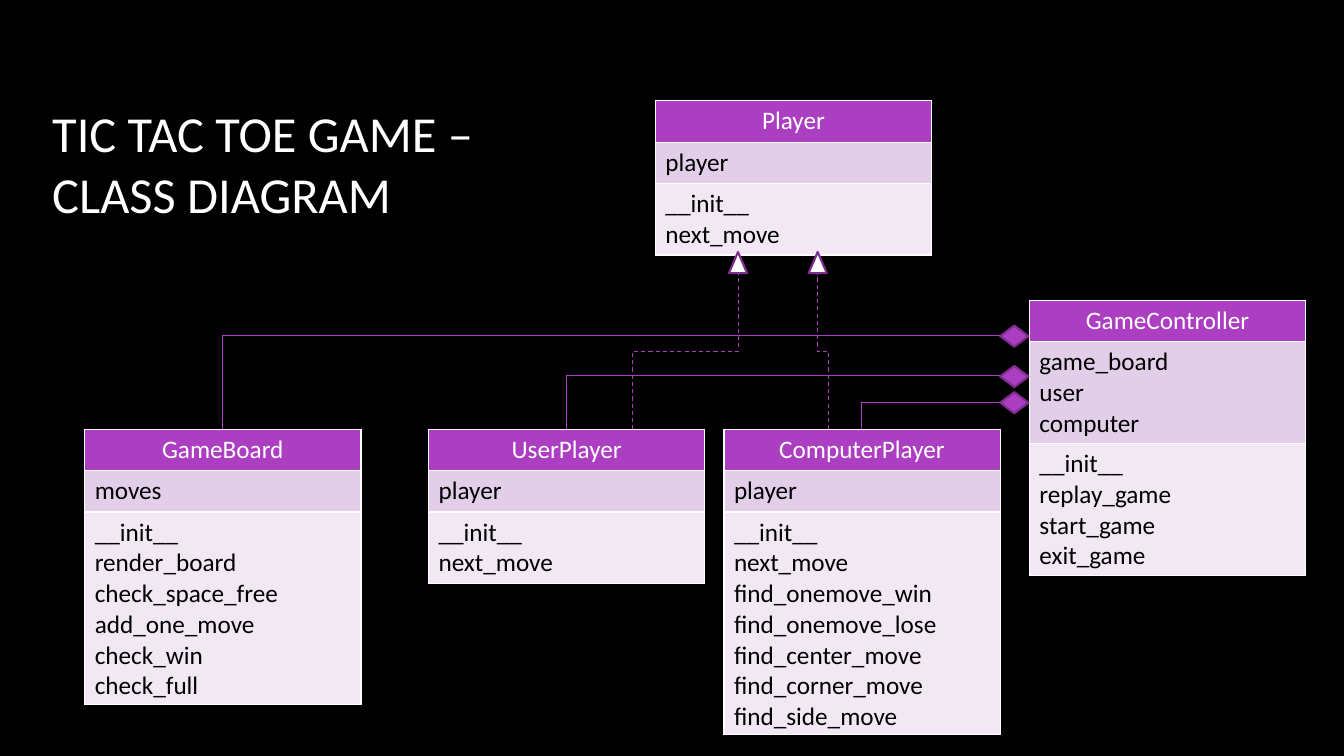
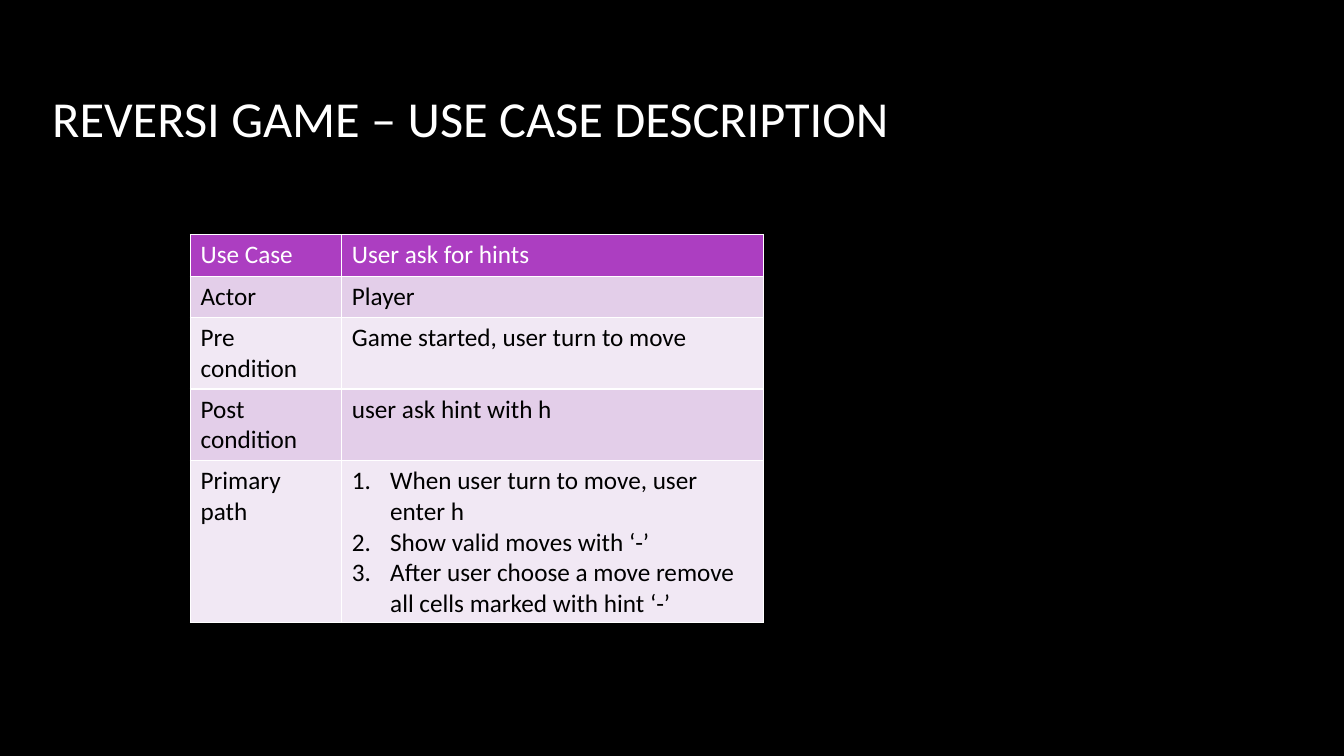
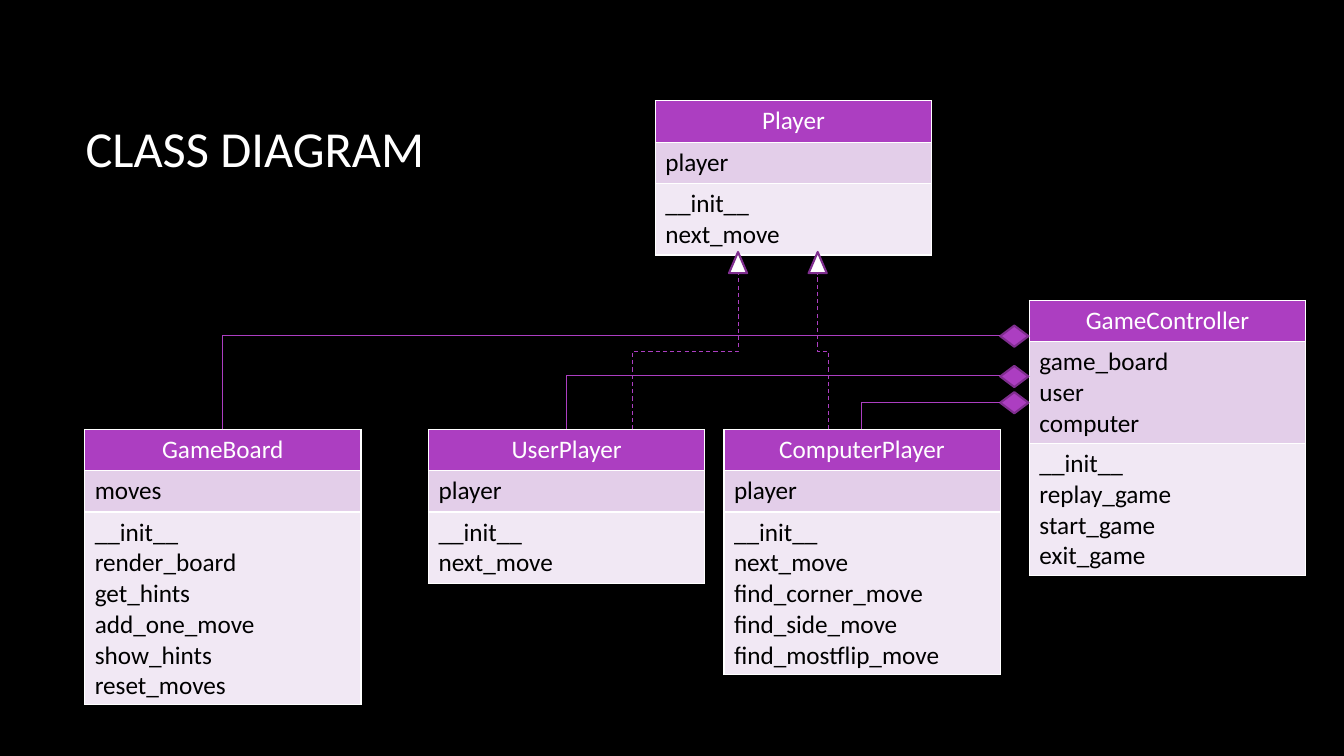
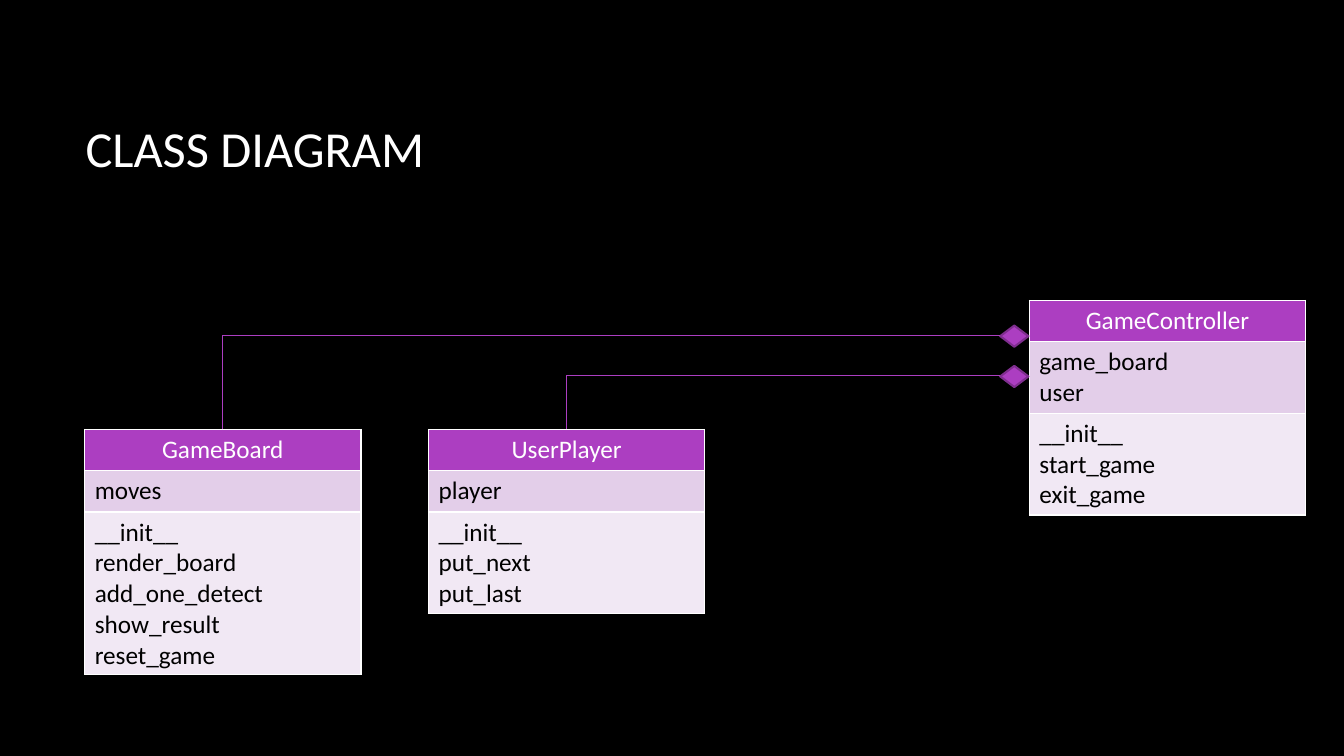
from dataclasses import dataclass

from lxml import etree
from pptx import Presentation
from pptx import util as u
from pptx.dml import color
from pptx.enum import dml, shapes, text
from pptx.oxml import ns


@dataclass(frozen=True)
class Theme:
    """Colours, font, type sizes and line widths of the deck."""
    backdrop: str = "000000"
    light: str = "FFFFFF"
    dark: str = "000000"
    accent: str = "AC3EC1"
    outline: str = "7F2E8F"
    bands: tuple = ("E3CEE9", "F1E8F4")
    font: str = "Calibri"
    title_size: int = 36
    body_size: int = 18
    border: float = 1
    link: float = 0.75
    marker: float = 1.5


THEME = Theme()
SCALE = 9144
SLIDE_SIZE = (1333, 750)
CLASS_WIDTH = 274
DIAGRAM_ORIGIN = (84, 100)
DIAGRAM_TITLE = (75, 67, 1108, 159)
SPOTS = {
    "GameBoard": (0, 326),
    "UserPlayer": (341, 326),
    "ComputerPlayer": (634, 326),
    "GameController": (937, 198),
    "Player": (566, 0),
}
OWNED = {"GameBoard": 35, "UserPlayer": 75, "ComputerPlayer": 101}
HEIRS = {"UserPlayer": (202, 82), "ComputerPlayer": (104, 161)}

PLAYER = (["player"], ["__init__", "next_move"])
CONTROLLER = (["game_board", "user", "computer"],
              ["__init__", "replay_game", "start_game", "exit_game"])
TIC_TAC_TOE = {
    "GameBoard": (["moves"], ["__init__", "render_board", "check_space_free",
                              "add_one_move", "check_win", "check_full"]),
    "UserPlayer": PLAYER,
    "GameController": CONTROLLER,
    "ComputerPlayer": (["player"], ["__init__", "next_move", "find_onemove_win",
                                    "find_onemove_lose", "find_center_move",
                                    "find_corner_move", "find_side_move"]),
    "Player": PLAYER,
}
REVERSI = {
    "GameBoard": (["moves"], ["__init__", "render_board", "get_hints",
                              "add_one_move", "show_hints", "reset_moves"]),
    "UserPlayer": PLAYER,
    "GameController": CONTROLLER,
    "ComputerPlayer": (["player"], ["__init__", "next_move", "find_corner_move",
                                    "find_side_move", "find_mostflip_move"]),
    "Player": PLAYER,
}
DETECTION = {
    "GameBoard": (["moves"], ["__init__", "render_board", "add_one_detect",
                              "show_result", "reset_game"]),
    "UserPlayer": (["player"], ["__init__", "put_next", "put_last"]),
    "GameController": (["game_board", "user"],
                       ["__init__", "start_game", "exit_game"]),
}
HINT_STEPS = [
    "When user turn to move, user enter h",
    "Show valid moves with ‘-’",
    "After user choose a move remove all cells marked with hint ‘-’",
]
HINT_CASE = [
    (["Use Case"], ["User ask for hints"]),
    (["Actor"], ["Player"]),
    (["Pre condition"], ["Game started, user turn to move"]),
    (["Post condition"], ["user ask hint with h"]),
    (["Primary path"], HINT_STEPS),
]


def px(*lengths):
    """Turn px lengths into a list of EMU lengths."""
    return [u.Emu(round(length * SCALE)) for length in lengths]


def rgb(value):
    """Return the colour for a hex value."""
    return color.RGBColor.from_string(value)


def put_text(frame, lines, size=THEME.body_size, ink=THEME.dark,
             align=text.PP_ALIGN.LEFT, numbered=False):
    """Write one paragraph per line in the given format."""
    for index, line in enumerate(lines):
        paragraph = frame.add_paragraph() if index else frame.paragraphs[0]
        paragraph.alignment = align
        if numbered:
            properties = paragraph._p.get_or_add_pPr()
            indent = px(38)[0]
            properties.set("marL", str(indent))
            properties.set("indent", str(-indent))
            etree.SubElement(properties, ns.qn("a:buAutoNum"), type="arabicPeriod")
        run = paragraph.add_run()
        run.text = line
        run.font.name = THEME.font
        run.font.size = u.Pt(size)
        run.font.bold = False
        run.font.color.rgb = rgb(ink)


def title(slide, box, words):
    """Place the slide title, centred vertically in its box."""
    frame = slide.shapes.add_textbox(*px(*box)).text_frame
    frame.word_wrap = True
    frame.vertical_anchor = text.MSO_ANCHOR.MIDDLE
    put_text(frame, [words], size=THEME.title_size, ink=THEME.light)


def style_cell(cell, fill):
    """Give a cell its white borders and its fill."""
    properties = cell._tc.get_or_add_tcPr()
    for side in ("lnL", "lnR", "lnT", "lnB"):
        edge = etree.SubElement(properties, ns.qn(f"a:{side}"),
                                w=str(u.Pt(THEME.border)))
        paint = etree.SubElement(edge, ns.qn("a:solidFill"))
        etree.SubElement(paint, ns.qn("a:srgbClr"), val=THEME.light)
    cell.fill.solid()
    cell.fill.fore_color.rgb = rgb(fill)


def banded_table(slide, origin, widths, rows, line_counts,
                 head_align=text.PP_ALIGN.LEFT, numbered=None):
    """Place a table with an accent head row and alternating bands."""
    heights = [11 + 30 * count for count in line_counts]
    grid = slide.shapes.add_table(
        len(rows), len(widths), *px(*origin, sum(widths), sum(heights))).table
    grid.first_row = grid.horz_banding = False
    for column, width in zip(grid.columns, px(*widths)):
        column.width = width
    for index, (entries, height) in enumerate(zip(rows, px(*heights))):
        grid.rows[index].height = height
        head = index == 0
        for place, lines in enumerate(entries):
            cell = grid.cell(index, place)
            style_cell(cell, THEME.accent if head else THEME.bands[(index - 1) % 2])
            put_text(cell.text_frame, lines,
                     ink=THEME.light if head else THEME.dark,
                     align=head_align if head else text.PP_ALIGN.LEFT,
                     numbered=lines is numbered)


def marker(slide, kind, box, fill):
    """Place an outlined end marker for a link."""
    mark = slide.shapes.add_shape(kind, *px(*box))
    mark.shadow.inherit = False
    mark.fill.solid()
    mark.fill.fore_color.rgb = rgb(fill)
    mark.line.color.rgb = rgb(THEME.outline)
    mark.line.width = u.Pt(THEME.marker)


def elbow(slide, start, end):
    """Place a thin accent elbow connector without a shadow."""
    link = slide.shapes.add_connector(shapes.MSO_CONNECTOR.ELBOW, *px(*start, *end))
    link.line.color.rgb = rgb(THEME.accent)
    link.line.width = u.Pt(THEME.link)
    etree.SubElement(link._element.spPr, ns.qn("a:effectLst"))
    return link


def ownership(slide, controller, owned, drop):
    """Link an owned class to the controller with a diamond."""
    left, middle = controller[0] - 29, controller[1] + drop
    marker(slide, shapes.MSO_SHAPE.FLOWCHART_DECISION,
           (left, middle - 10, 28, 21), THEME.accent)
    link = elbow(slide, (left, middle), (owned[0] + CLASS_WIDTH // 2, owned[1]))
    link._element.spPr.find(ns.qn("a:prstGeom")).set("prst", "bentConnector2")


def inheritance(slide, parent, heir, offsets):
    """Link an heir upwards to its parent with a dashed line and triangle."""
    foot_x, tip_x = heir[0] + offsets[0], parent[0] + offsets[1]
    tip_y = parent[1] + 172
    rise, run = heir[1] - tip_y, tip_x - foot_x
    centre_x, centre_y = (foot_x + tip_x) / 2, (heir[1] + tip_y) / 2
    link = elbow(slide, (centre_x - rise / 2, centre_y - run / 2),
                 (centre_x + rise / 2, centre_y + run / 2))
    link.line.dash_style = dml.MSO_LINE.DASH
    link._element.spPr.find(ns.qn("a:xfrm")).set("rot", "16200000")
    marker(slide, shapes.MSO_SHAPE.ISOSCELES_TRIANGLE,
           (tip_x - 9, tip_y - 22, 18, 21), THEME.light)


def class_diagram(slide, origin, classes):
    """Place the class tables and the links among those present."""
    spots = {name: (origin[0] + SPOTS[name][0], origin[1] + SPOTS[name][1])
             for name in classes}
    for name, (fields, methods) in classes.items():
        banded_table(slide, spots[name], [CLASS_WIDTH],
                     [([name],), (fields,), (methods,)],
                     [1, len(fields), len(methods)],
                     head_align=text.PP_ALIGN.CENTER)
    for name, drop in OWNED.items():
        if name in spots:
            ownership(slide, spots["GameController"], spots[name], drop)
    if "Player" in spots:
        for name, offsets in HEIRS.items():
            inheritance(slide, spots["Player"], spots[name], offsets)


def new_slide(deck, title_box, words):
    """Add a black slide with its title."""
    slide = deck.slides.add_slide(deck.slide_layouts[6])
    slide.background.fill.solid()
    slide.background.fill.fore_color.rgb = rgb(THEME.backdrop)
    title(slide, title_box, words)
    return slide


def main():
    """Build and save the deck."""
    deck = Presentation()
    deck.slide_width, deck.slide_height = px(*SLIDE_SIZE)

    slide = new_slide(deck, (42, 82, 537, 159), "TIC TAC TOE GAME – CLASS DIAGRAM")
    class_diagram(slide, DIAGRAM_ORIGIN, TIC_TAC_TOE)

    slide = new_slide(deck, (42, 37, 1006, 159), "REVERSI GAME – USE CASE DESCRIPTION")
    banded_table(slide, (189, 233), [150, 418], HINT_CASE, [1, 1, 2, 2, 5],
                 numbered=HINT_STEPS)

    for classes in (REVERSI, DETECTION):
        slide = new_slide(deck, DIAGRAM_TITLE, "CLASS DIAGRAM")
        class_diagram(slide, DIAGRAM_ORIGIN, classes)

    deck.save("out.pptx")


if __name__ == "__main__":
    main()
